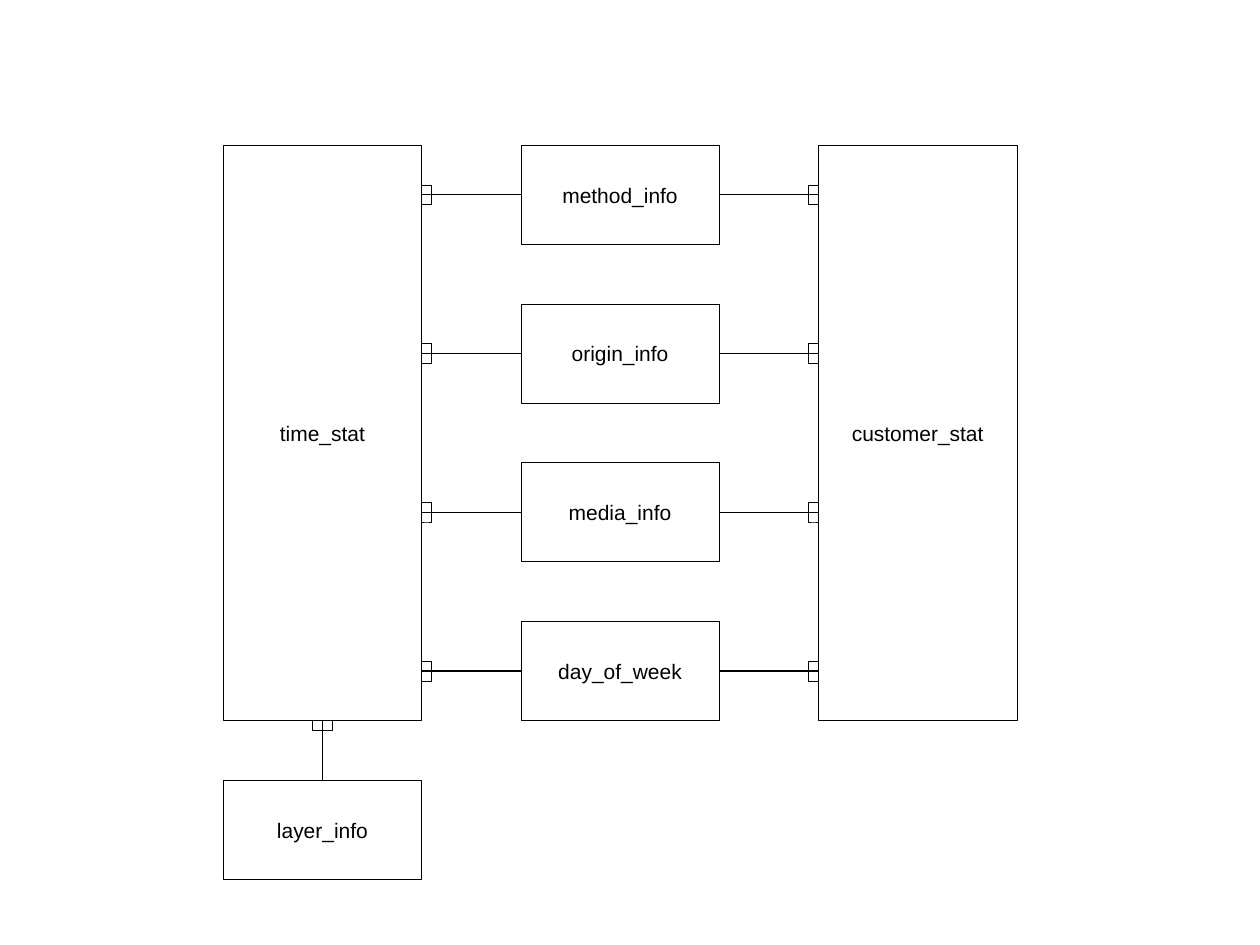
"""Build a slide that links two statistics tables to their lookup tables."""
from pptx import Presentation
from pptx.dml.color import RGBColor
from pptx.enum.shapes import MSO_CONNECTOR, MSO_SHAPE
from pptx.enum.text import MSO_ANCHOR, PP_ALIGN
from pptx.oxml.ns import qn
from pptx.util import Pt
from lxml.etree import SubElement

BLACK = RGBColor(0, 0, 0)
UNIT = 5.67
WIDTH, HEIGHT = 20 * UNIT, 10 * UNIT
LEFT, TOP = 127.55, 82.9
COL, ROW = 30 * UNIT, 16 * UNIT
ROWS = ("method_info", "origin_info", "media_info", "day_of_week")


def add_rect(slide, x, y, w, h):
    rect = slide.shapes.add_shape(MSO_SHAPE.RECTANGLE, Pt(x), Pt(y), Pt(w), Pt(h))
    rect.shadow.inherit = False
    rect.fill.background()
    rect.line.color.rgb = BLACK
    rect.line.width = Pt(0.25)
    return rect


def add_box(slide, text, col, row, h=HEIGHT):
    box = add_rect(slide, LEFT + col * COL, TOP + row * ROW, WIDTH, h)
    frame = box.text_frame
    frame.word_wrap = True
    frame.vertical_anchor = MSO_ANCHOR.MIDDLE
    para = frame.paragraphs[0]
    para.text = text
    para.alignment = PP_ALIGN.CENTER
    para.font.name = "Arial"
    para.font.size = Pt(12)
    para.font.color.rgb = BLACK
    return box


def add_link(slide, box, side, x, y):
    link = slide.shapes.add_connector(
        MSO_CONNECTOR.STRAIGHT, Pt(x), Pt(y), Pt(x), Pt(y))
    link.begin_connect(box, side)
    link.line.color.rgb = BLACK
    link.line.width = Pt(0.75)
    SubElement(link._element.spPr, qn("a:effectLst"))
    return link


def main():
    deck = Presentation()
    deck.slide_width, deck.slide_height = Pt(720), Pt(540)
    slide = deck.slides.add_slide(deck.slide_layouts[6])

    tall = 3 * ROW + HEIGHT
    time = add_box(slide, "time_stat", 0, 0, tall)
    add_box(slide, "customer_stat", 2, 0, tall)
    near, far = LEFT + WIDTH, LEFT + 2 * COL
    for row, text in enumerate(ROWS):
        box = add_box(slide, text, 1, row)
        mid = TOP + row * ROW + HEIGHT / 2
        for side, edge, x in ((1, near, near), (3, far, far - UNIT)):
            add_link(slide, box, side, edge, mid)
            add_rect(slide, x, mid - UNIT, UNIT, 2 * UNIT)

    layer = add_box(slide, "layer_info", 0, 4)
    mid, base = LEFT + WIDTH / 2, TOP + tall
    add_link(slide, layer, 0, mid, base).end_connect(time, 2)
    add_rect(slide, mid - UNIT, base, 2 * UNIT, UNIT)
    deck.save("out.pptx")


if __name__ == "__main__":
    main()
